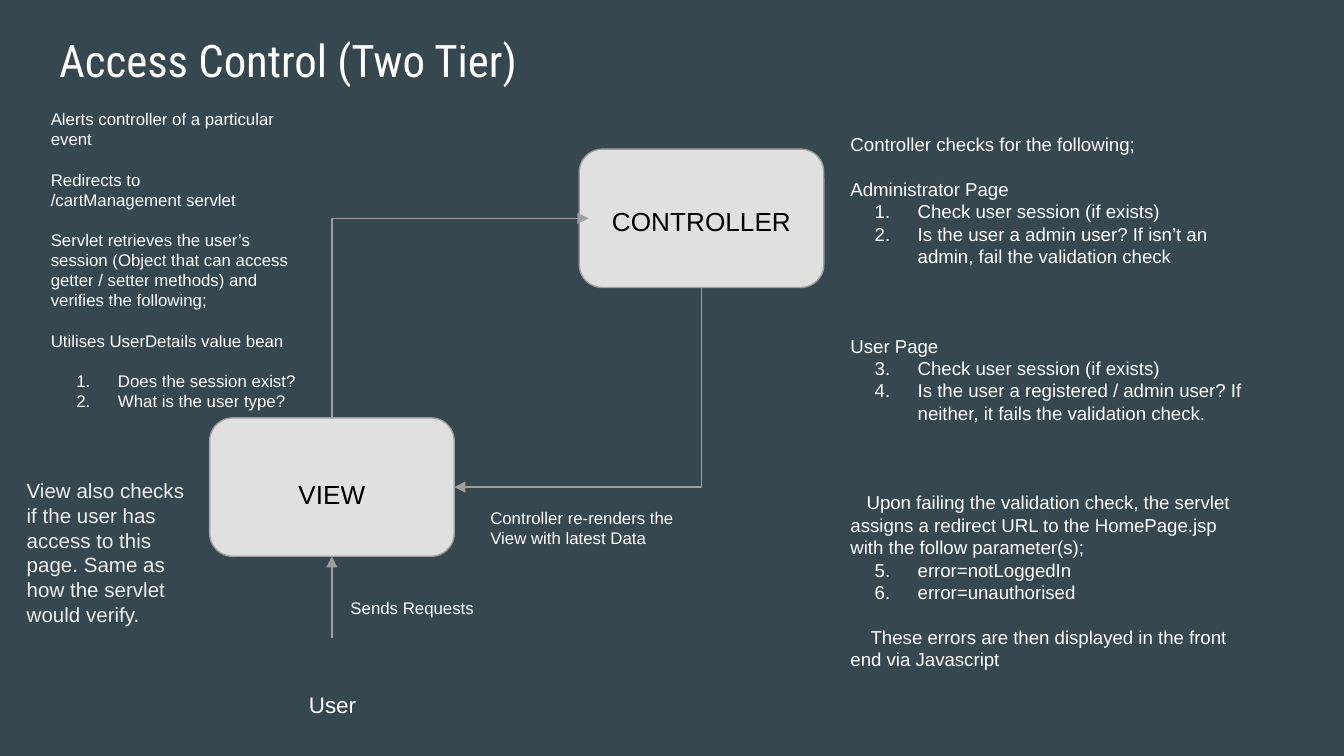
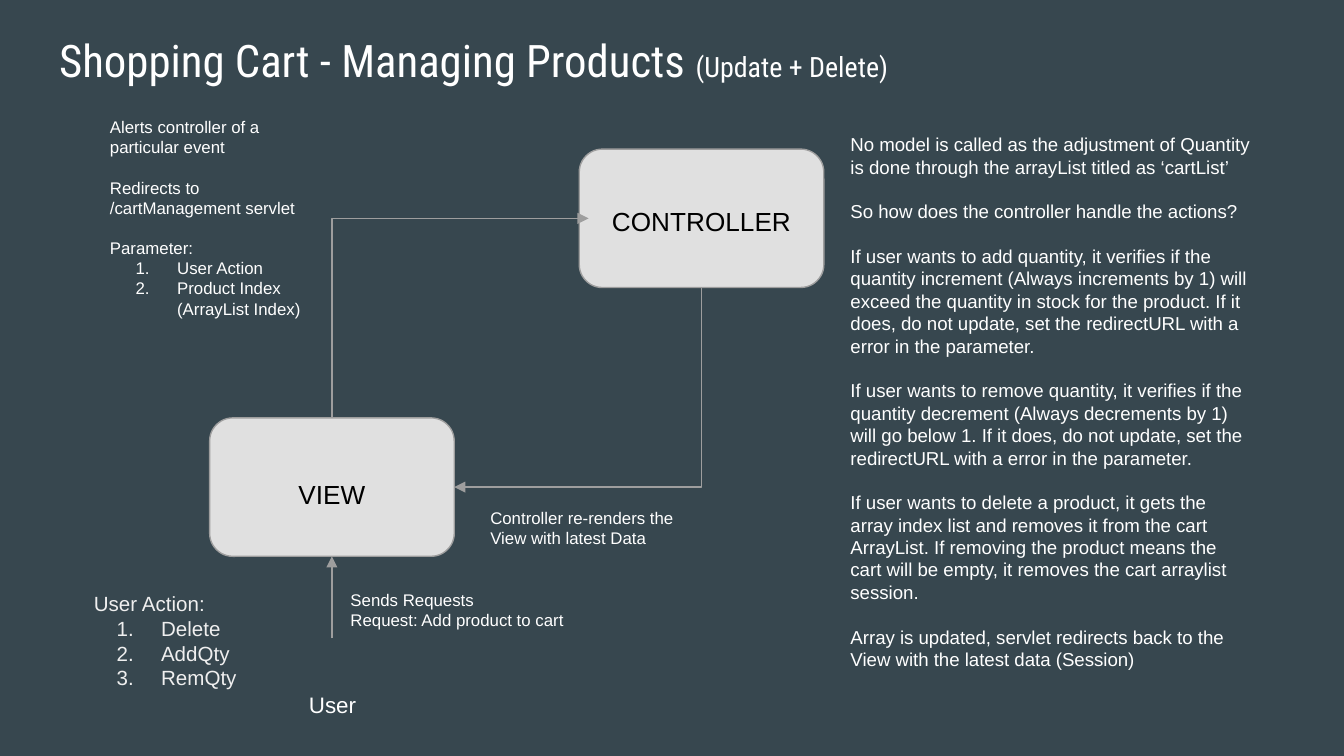
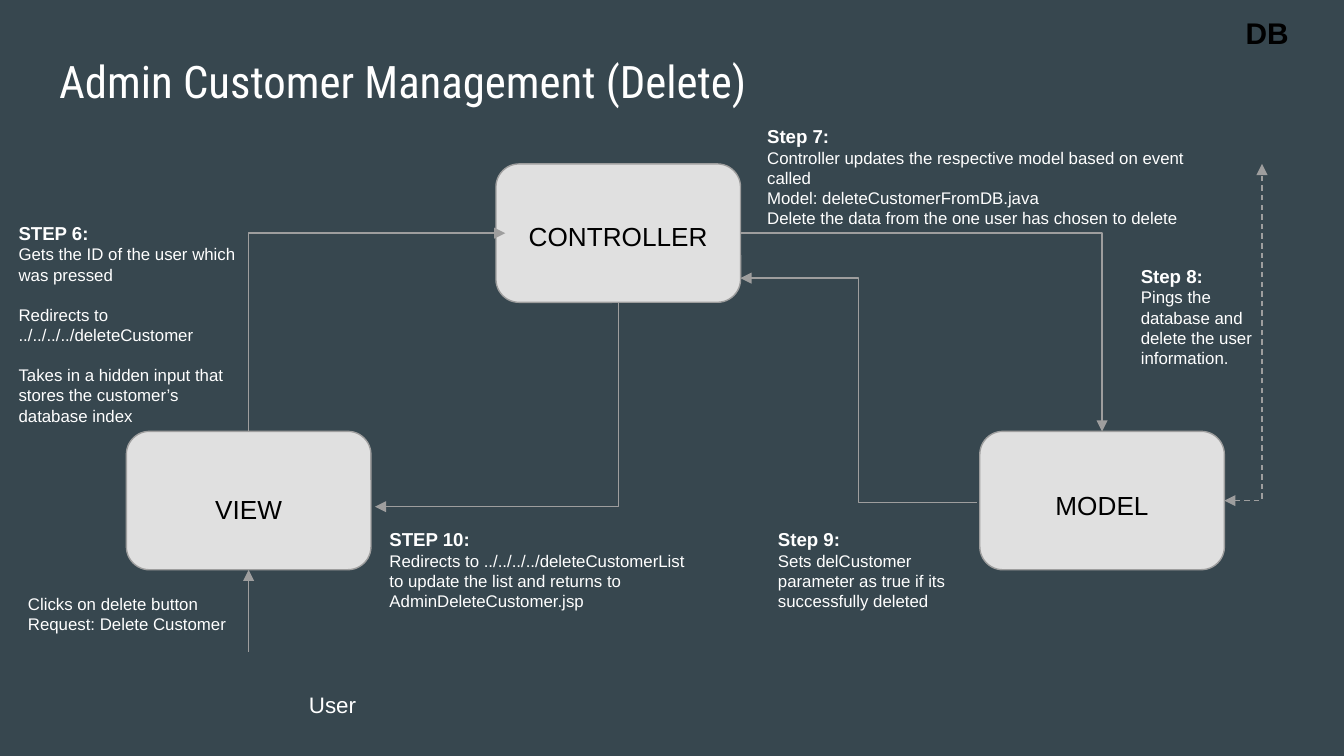
from dataclasses import dataclass
from typing import NamedTuple

from lxml import etree
from pptx import Presentation
from pptx.dml.color import RGBColor
from pptx.enum.dml import MSO_LINE
from pptx.enum.shapes import MSO_CONNECTOR, MSO_SHAPE
from pptx.enum.text import MSO_ANCHOR, MSO_AUTO_SIZE, PP_ALIGN
from pptx.oxml.ns import qn
from pptx.util import Inches, Pt

ROUNDED = MSO_SHAPE.ROUNDED_RECTANGLE
STRAIGHT, ELBOW = MSO_CONNECTOR.STRAIGHT, MSO_CONNECTOR.ELBOW
DASH = MSO_LINE.DASH
TOP = MSO_ANCHOR.TOP
LEFT, CENTER = PP_ALIGN.LEFT, PP_ALIGN.CENTER
NO_AUTOFIT = MSO_AUTO_SIZE.NONE
TITLE_ONLY = 5


@dataclass(frozen=True)
class Theme:
    background: str = "37474F"
    text: str = "FFFFFF"
    soft_text: str = "EFEFEF"
    dark_text: str = "000000"
    node_fill: str = "E0E0E0"
    line: str = "9E9E9E"
    title_font: str = "Roboto Condensed"
    body_font: str = "Arial"
    title_size: int = 24
    subtitle_size: int = 15
    database_size: int = 16
    label_size: int = 14
    user_size: int = 12
    aside_size: int = 11
    detail_size: int = 10
    note_size: int = 9
    line_width: float = 0.75
    line_pitch: float = 1.2
    inset: float = 0.1


THEME = Theme()


class Point(NamedTuple):
    x: float
    y: float


class Line(NamedTuple):
    """A paragraph: gap counts the empty lines above, start is its list's first number."""
    text: str
    gap: int = 0
    start: int = 0
    indent: float = 0
    heading: bool = False


class Note(NamedTuple):
    left: float
    top: float
    width: float
    height: float
    lines: list[Line]
    size: int = THEME.note_size
    color: str = THEME.text
    bold: bool = False
    align: PP_ALIGN = LEFT


@dataclass(frozen=True)
class Node:
    name: str
    left: float
    top: float
    label_drop: float
    width: float = 1.82
    height: float = 1.03

    @property
    def right(self) -> float:
        return self.left + self.width

    @property
    def bottom(self) -> float:
        return self.top + self.height

    @property
    def center(self) -> Point:
        return Point(self.left + self.width / 2, self.top + self.height / 2)


def rgb(color: str) -> RGBColor:
    return RGBColor.from_string(color)


def add_span(para, text: str, *, size: float, color: str = THEME.text,
             font: str = THEME.body_font, bold: bool = False) -> None:
    span = para.add_run()
    span.text = text
    span.font.name = font
    span.font.size = Pt(size)
    span.font.bold = bold
    span.font.color.rgb = rgb(color)


def prepare_frame(frame) -> None:
    frame.word_wrap = True
    frame.auto_size = NO_AUTOFIT
    frame.vertical_anchor = TOP
    frame.margin_left = frame.margin_right = Inches(THEME.inset)
    frame.margin_top = frame.margin_bottom = Inches(THEME.inset)


def place(shape, left: float, top: float, width: float, height: float) -> None:
    shape.left, shape.top = Inches(left), Inches(top)
    shape.width, shape.height = Inches(width), Inches(height)


def indent_paragraph(para, line: Line, size: int, color: str) -> None:
    properties = para._p.get_or_add_pPr()
    if line.start:
        properties.set("marL", str(Inches(0.5)))
        properties.set("indent", str(-Inches(0.22 + size / 100)))
        bullet_color = etree.SubElement(properties, qn("a:buClr"))
        etree.SubElement(bullet_color, qn("a:srgbClr"), val=color)
        etree.SubElement(properties, qn("a:buAutoNum"),
                         type="arabicPeriod", startAt=str(line.start))
    elif line.indent:
        properties.set("indent", str(Inches(line.indent)))


def add_note(page, note: Note) -> None:
    box = page.shapes.add_textbox(0, 0, 0, 0)
    place(box, note.left, note.top, note.width, note.height)
    frame = box.text_frame
    prepare_frame(frame)
    for index, line in enumerate(note.lines):
        para = frame.add_paragraph() if index else frame.paragraphs[0]
        size = THEME.detail_size if line.heading else note.size
        para.alignment = note.align
        para.line_spacing = Pt(size * THEME.line_pitch)
        if line.gap:
            para.space_before = Pt(line.gap * size * THEME.line_pitch)
        indent_paragraph(para, line, size, note.color)
        add_span(para, line.text, size=size, color=note.color, bold=note.bold or line.heading)


def add_node(page, node: Node) -> None:
    box = page.shapes.add_shape(ROUNDED, 0, 0, 0, 0)
    place(box, node.left, node.top, node.width, node.height)
    box.shadow.inherit = False
    box.fill.solid()
    box.fill.fore_color.rgb = rgb(THEME.node_fill)
    box.line.color.rgb = rgb(THEME.line)
    box.line.width = Pt(THEME.line_width)
    add_note(page, Note(node.left + 0.07, node.top + node.label_drop, 1.68, 0.38,
                        [Line(node.name)], THEME.label_size, THEME.dark_text, align=CENTER))


def add_arrow(page, begin: Point, end: Point, *, preset: str = "bentConnector2",
              head: bool = False, tail: bool = False, dashed: bool = False) -> None:
    """Draw a line; bent ones leave begin horizontally. Head is the arrow at begin."""
    kind = STRAIGHT if preset == "line" else ELBOW
    arrow = page.shapes.add_connector(kind, *map(Inches, (*begin, *end)))
    arrow.line.color.rgb = rgb(THEME.line)
    arrow.line.width = Pt(THEME.line_width)
    if dashed:
        arrow.line.dash_style = DASH
    properties = arrow.element.find(qn("p:spPr"))
    properties.find(qn("a:prstGeom")).set("prst", preset)
    outline = properties.find(qn("a:ln"))
    for tag, shown in (("a:headEnd", head), ("a:tailEnd", tail)):
        if shown:
            etree.SubElement(outline, qn(tag), type="triangle")
    etree.SubElement(properties, qn("a:effectLst"))


def add_page(deck, title: str, subtitle: str = "", top: float = 0.14):
    page = deck.slides.add_slide(deck.slide_layouts[TITLE_ONLY])
    place(page.shapes.title, 0.34, top, 9.32, 0.63)
    frame = page.shapes.title.text_frame
    prepare_frame(frame)
    para = frame.paragraphs[0]
    para.alignment = LEFT
    add_span(para, title, size=THEME.title_size, font=THEME.title_font)
    if subtitle:
        add_span(para, subtitle, size=THEME.subtitle_size, font=THEME.title_font)
    return page


def add_flow(page, view: Node, controller: Node, return_point: Point) -> None:
    """Draw the user, the view and the controller with the arrows joining them."""
    add_node(page, view)
    add_node(page, controller)
    middle = view.center.x
    add_arrow(page, Point(middle, view.bottom + 0.61), Point(middle, view.bottom),
              preset="line", tail=True)
    add_arrow(page, Point(controller.left + 0.07, controller.center.y),
              Point(middle, view.top), head=True)
    add_arrow(page, return_point, Point(controller.center.x, controller.bottom), head=True)
    add_note(page, Note(2.2, 5.04, 1.68, 0.34, [Line("User")], THEME.user_size))


def add_two_tier_flow(page) -> None:
    view = Node("VIEW", 1.56, 3.11, 0.35)
    controller = Node("CONTROLLER", 4.31, 1.11, 0.32)
    add_flow(page, view, controller, Point(view.right, view.center.y))
    add_note(page, Note(3.55, 3.68, 1.67, 0.42, [
        Line("Controller re-renders the"), Line("View with latest Data")]))


def add_notes(page, notes: list[Note]) -> None:
    for note in notes:
        add_note(page, note)


def add_access_control(deck) -> None:
    page = add_page(deck, "Access Control (Two Tier)")
    add_two_tier_flow(page)
    add_notes(page, [
        Note(2.51, 4.35, 3.34, 0.34, [Line("Sends Requests")]),
        Note(0.28, 0.71, 2.06, 2.34, [
            Line("Alerts controller of a particular event"),
            Line("Redirects to", gap=1),
            Line("/cartManagement servlet"),
            Line("Servlet retrieves the user’s session (Object that can access "
                 "getter / setter methods) and verifies the following;", gap=1),
            Line("Utilises UserDetails value bean", gap=1),
            Line("Does the session exist?", gap=1, start=1),
            Line("What is the user type?", start=1),
        ]),
        Note(6.23, 0.89, 3.17, 4.22, [
            Line("Controller checks for the following;"),
            Line("Administrator Page", gap=1),
            Line("Check user session (if exists)", start=1),
            Line("Is the user a admin user? If isn’t an admin, fail the validation check",
                 start=1),
            Line("User Page", gap=3),
            Line("Check user session (if exists)", start=3),
            Line("Is the user a registered / admin user? If neither, "
                 "it fails the validation check.", start=3),
            Line("Upon failing the validation check, the servlet assigns a redirect URL "
                 "to the HomePage.jsp with the follow parameter(s);", gap=3, indent=0.12),
            Line("error=notLoggedIn", start=5),
            Line("error=unauthorised", start=5),
            Line("These errors are then displayed in the front end via Javascript",
                 gap=1, indent=0.15),
        ], THEME.detail_size),
        Note(0.1, 3.46, 1.38, 1.23, [
            Line("View also checks if the user has access to this page. "
                 "Same as how the servlet would verify."),
        ], THEME.aside_size, THEME.soft_text),
    ])


def add_shopping_cart(deck) -> None:
    page = add_page(deck, "Shopping Cart - Managing Products ", "(Update + Delete)")
    add_two_tier_flow(page)
    add_notes(page, [
        Note(2.51, 4.29, 3.34, 0.46, [
            Line("Sends Requests"), Line("Request: Add product to cart")]),
        Note(0.72, 0.77, 1.76, 2.18, [
            Line("Alerts controller of a particular event"),
            Line("Redirects to", gap=1),
            Line("/cartManagement servlet"),
            Line("Parameter:", gap=1),
            Line("User Action", start=1),
            Line("Product Index (ArrayList Index)", start=1),
        ]),
        Note(6.23, 0.89, 3.17, 4.22, [
            Line("No model is called as the adjustment of Quantity is done through "
                 "the arrayList titled as ‘cartList’"),
            Line("So how does the controller handle the actions?", gap=1),
            Line("If user wants to add quantity, it verifies if the quantity increment "
                 "(Always increments by 1) will exceed the quantity in stock for the product. "
                 "If it does, do not update, set the redirectURL with a error in the "
                 "parameter.", gap=1),
            Line("If user wants to remove quantity, it verifies if the quantity decrement "
                 "(Always decrements by 1) will go below 1. If it does, do not update, "
                 "set the redirectURL with a error in the parameter.", gap=1),
            Line("If user wants to delete a product, it gets the array index list and removes "
                 "it from the cart ArrayList. If removing the product means the cart will be "
                 "empty, it removes the cart arraylist session.", gap=1),
            Line("Array is updated, servlet redirects back to the View with the latest data "
                 "(Session)", gap=1),
        ], THEME.detail_size),
        Note(0.6, 4.3, 1.52, 1.27, [
            Line("User Action:"),
            *(Line(action, start=1) for action in ("Delete", "AddQty", "RemQty")),
        ], THEME.aside_size, THEME.soft_text),
    ])


def add_customer_management(deck) -> None:
    page = add_page(deck, "Admin Customer Management (Delete)", top=0.3)
    view = Node("VIEW", 0.94, 3.21, 0.36)
    controller = Node("CONTROLLER", 3.69, 1.22, 0.32)
    model = Node("MODEL", 7.29, 3.21, 0.33)
    add_flow(page, view, controller, Point(2.79, 3.77))
    add_node(page, model)
    add_arrow(page, Point(controller.right, controller.center.y),
              Point(model.center.x, model.top), tail=True)
    add_arrow(page, Point(7.27, 3.74), Point(controller.right, 2.07),
              preset="bentConnector3", tail=True)
    add_arrow(page, Point(model.right, model.center.y), Point(9.39, 1.22),
              head=True, tail=True, dashed=True)
    add_notes(page, [
        Note(9.17, 0.01, 0.67, 0.24, [Line("DB")],
             THEME.database_size, THEME.dark_text, bold=True),
        Note(0.11, 4.32, 1.84, 0.46, [
            Line("Clicks on delete button"), Line("Request: Delete Customer")]),
        Note(0.04, 1.55, 1.84, 1.67, [
            Line("STEP 6:", heading=True),
            Line("Gets the ID of the user which was pressed"),
            Line("Redirects to ../../../../deleteCustomer", gap=1),
            Line("Takes in a hidden input that stores the customer’s database index", gap=1),
        ]),
        Note(5.61, 0.83, 3.37, 0.71, [
            Line("Step 7:", heading=True),
            Line("Controller updates the respective model based on event called"),
            Line("Model: deleteCustomerFromDB.java"),
            Line("Delete the data from the one user has chosen to delete"),
        ]),
        Note(8.39, 1.87, 1.2, 0.85, [
            Line("Step 8:", heading=True),
            Line("Pings the database and delete the user information."),
        ]),
        Note(5.69, 3.83, 1.81, 1.26, [
            Line("Step 9:", heading=True),
            Line("Sets delCustomer"),
            Line("parameter as true if its successfully deleted"),
        ]),
        Note(2.8, 3.83, 2.46, 0.95, [
            Line("STEP 10:", heading=True),
            Line("Redirects to ../../../../deleteCustomerList to update the list "
                 "and returns to AdminDeleteCustomer.jsp"),
        ]),
    ])


def main() -> None:
    deck = Presentation()
    deck.slide_width = Inches(10)
    deck.slide_height = deck.slide_width * 9 // 16
    background = deck.slide_master.background.fill
    background.solid()
    background.fore_color.rgb = rgb(THEME.background)
    add_access_control(deck)
    add_shopping_cart(deck)
    add_customer_management(deck)
    deck.save("out.pptx")


if __name__ == "__main__":
    main()
